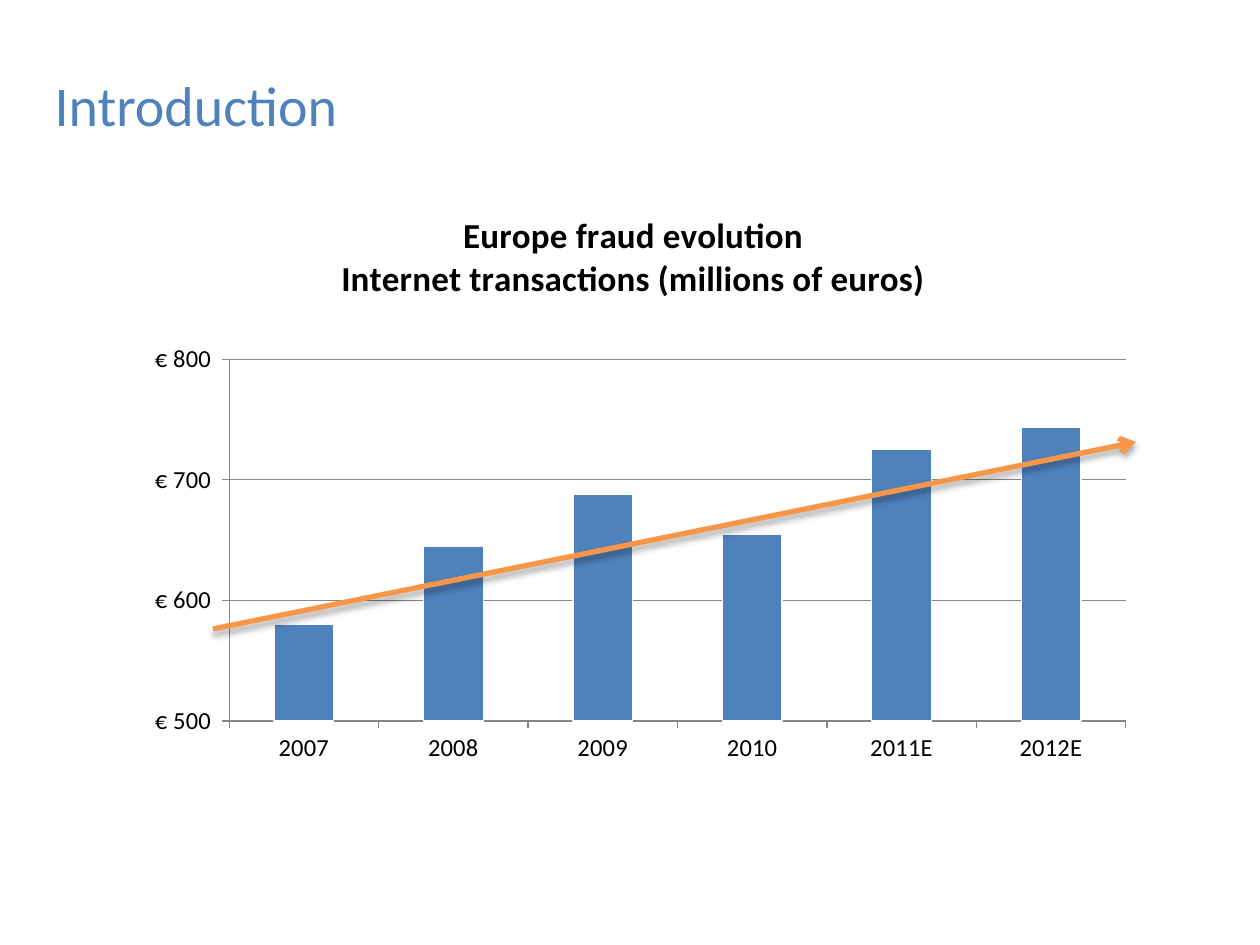
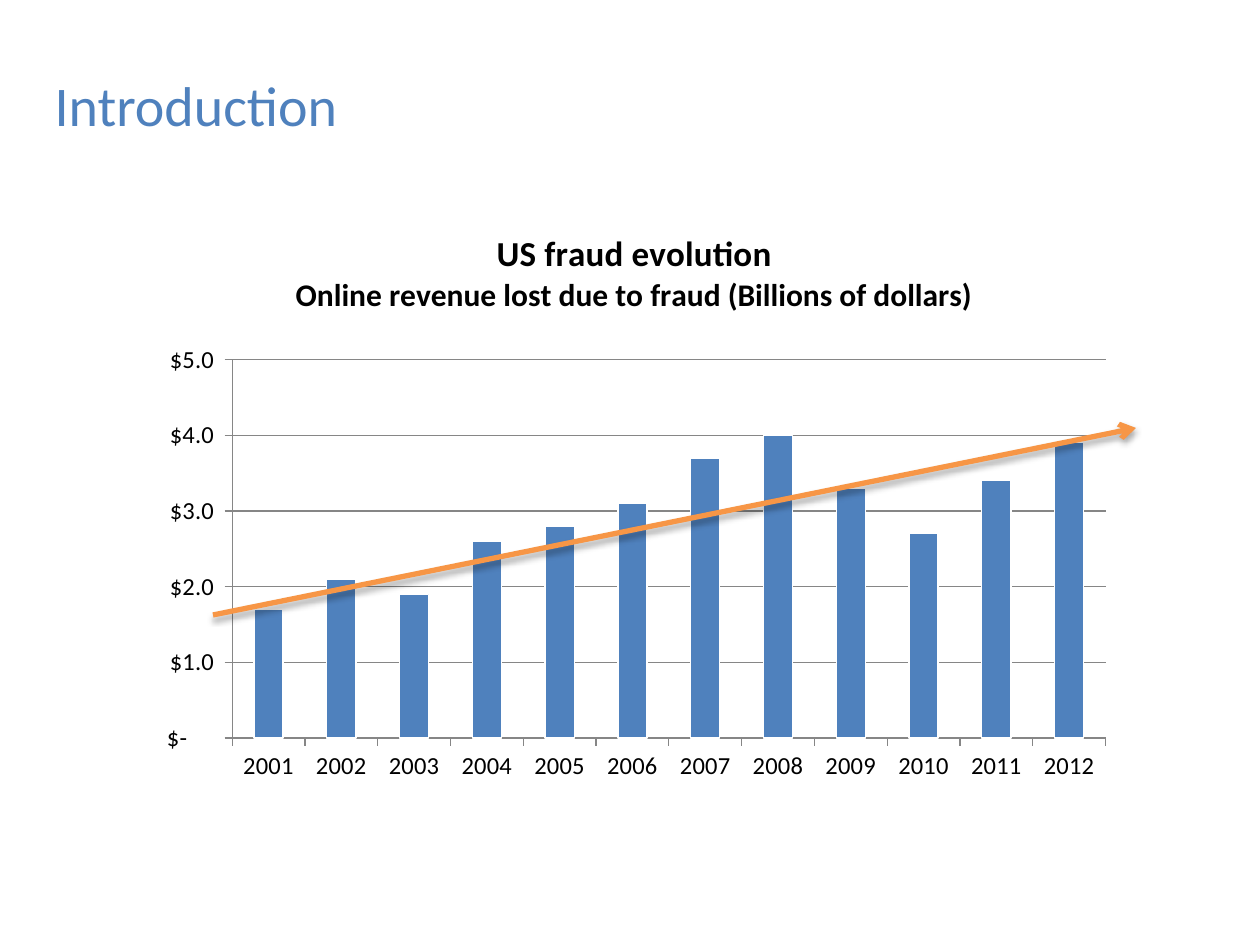
from dataclasses import dataclass

from lxml import etree
from pptx import Presentation
from pptx.chart.data import CategoryChartData
from pptx.dml.color import RGBColor
from pptx.enum.chart import XL_CHART_TYPE, XL_TICK_MARK
from pptx.enum.shapes import MSO_CONNECTOR
from pptx.enum.text import MSO_ANCHOR, PP_ALIGN
from pptx.oxml import parse_xml
from pptx.oxml.ns import nsdecls, qn
from pptx.util import Pt

COLUMNS = XL_CHART_TYPE.COLUMN_CLUSTERED
STRAIGHT = MSO_CONNECTOR.STRAIGHT
TICK_OUT, TICK_NONE = XL_TICK_MARK.OUTSIDE, XL_TICK_MARK.NONE
LEFT, CENTER, MIDDLE = PP_ALIGN.LEFT, PP_ALIGN.CENTER, MSO_ANCHOR.MIDDLE
TITLE_ONLY = 5
SCALE = 914400 / 126


@dataclass(frozen=True)
class Theme:
    font: str = "Calibri"
    blue: str = "4F81BD"
    orange: str = "F79646"
    black: str = "000000"
    white: str = "FFFFFF"
    grid: str = "868686"
    title_size: int = 32
    heading_size: int = 20
    axis_size: int = 14
    hairline: float = 0.75
    arrow_width: int = 3


THEME = Theme()


def px(*lengths):
    """Pixels to EMU."""
    return [round(length * SCALE) for length in lengths]


def rgb(color):
    return RGBColor.from_string(color)


def write(para, text, size, color, bold=False, align=LEFT):
    """Put one formatted span in a paragraph."""
    para.alignment = align
    span = para.add_run()
    span.text = text
    font = span.font
    font.name, font.size, font.bold = THEME.font, Pt(size), bold
    font.color.rgb = rgb(color)


def add_page(deck, title):
    page = deck.slides.add_slide(deck.slide_layouts[TITLE_ONLY])
    box = page.shapes.title
    box.left, box.top, box.width, box.height = px(42, 64, 311, 81)
    frame = box.text_frame
    frame.word_wrap, frame.vertical_anchor = False, MIDDLE
    write(frame.paragraphs[0], title, THEME.title_size, THEME.blue)
    return page


def set_layout(element, position, **fractions):
    """Give a chart part a manual layout in fractions of the chart."""
    for old in element.findall(qn("c:layout")):
        element.remove(old)
    layout = etree.Element(qn("c:layout"))
    manual = etree.SubElement(layout, qn("c:manualLayout"))
    settings = {"xMode": "edge", "yMode": "edge", **fractions}
    if "w" in fractions:
        settings = {"layoutTarget": "inner", **settings}
    for name, value in settings.items():
        etree.SubElement(manual, qn(f"c:{name}")).set("val", str(value))
    element.insert(position, layout)


def set_line(line, color, width=THEME.hairline):
    line.color.rgb = rgb(color)
    line.width = Pt(width)


def format_axis(axis):
    axis.major_tick_mark, axis.minor_tick_mark = TICK_OUT, TICK_NONE
    axis.tick_labels.font.size = Pt(THEME.axis_size)
    set_line(axis.format.line, THEME.grid)


def add_column_chart(page, place, values, heading, heading_at, plot, scale,
                     number_format):
    data = CategoryChartData()
    data.categories = list(values)
    data.add_series("Series 1", list(values.values()))
    chart = page.shapes.add_chart(COLUMNS, *px(*place), data).chart
    chart.has_legend = False
    chart.font.name, chart.font.size = THEME.font, Pt(THEME.axis_size)
    chart.font.color.rgb = rgb(THEME.black)

    # Heading, one paragraph a line
    chart.has_title = True
    frame = chart.chart_title.text_frame
    for index, (text, size) in enumerate(heading):
        para = frame.add_paragraph() if index else frame.paragraphs[0]
        write(para, text, size, THEME.black, bold=True, align=CENTER)
    x, y = heading_at
    set_layout(chart.chart_title._element, 1, x=x, y=y)

    # Axes and grid
    format_axis(chart.category_axis)
    axis = chart.value_axis
    format_axis(axis)
    axis.minimum_scale, axis.maximum_scale, axis.major_unit = scale
    axis.has_major_gridlines = True
    set_line(axis.major_gridlines.format.line, THEME.grid)
    axis.tick_labels.number_format = number_format
    axis.tick_labels.number_format_is_linked = False

    # Columns
    columns = chart.plots[0]
    columns.gap_width, columns.vary_by_categories = 150, False
    style = columns.series[0].format
    style.fill.solid()
    style.fill.fore_color.rgb = rgb(THEME.blue)
    set_line(style.line, THEME.white)
    area = chart._chartSpace.find(".//" + qn("c:plotArea"))
    set_layout(area, 0, **dict(zip("xywh", plot)))


def add_trend_arrow(page, start_y, end_y):
    arrow = page.shapes.add_connector(STRAIGHT, *px(213, start_y, 1136, end_y))
    set_line(arrow.line, THEME.orange, THEME.arrow_width)
    properties = arrow._element.spPr
    etree.SubElement(properties.find(qn("a:ln")), qn("a:tailEnd")).set("type", "arrow")
    properties.append(parse_xml(
        f'<a:effectLst {nsdecls("a")}>'
        '<a:outerShdw blurRad="40000" dist="23000" dir="5400000" rotWithShape="0">'
        f'<a:srgbClr val="{THEME.black}"><a:alpha val="35000"/></a:srgbClr>'
        '</a:outerShdw></a:effectLst>'))


def accounting(symbol, digits):
    """Accounting number format with a dash for zero."""
    return (f'_({symbol}* {digits}_);_({symbol}* \\({digits}\\);'
            f'_({symbol}* "-"??_);_(@_)')


def main():
    deck = Presentation()
    deck.slide_width, deck.slide_height = px(1260, 945)

    # Europe
    page = add_page(deck, "Introduction")
    add_column_chart(
        page, (125, 183, 1012, 625),
        {"2007": 580, "2008": 645, "2009": 688,
         "2010": 655, "2011E": 725, "2012E": 743},
        heading=[("Europe fraud evolution", THEME.heading_size),
                 ("Internet transactions (millions of euros)", THEME.heading_size)],
        heading_at=(0.21, 0.04), plot=(0.103, 0.282, 0.886, 0.579),
        scale=(500, 800, 100), number_format=accounting("[$€-2]\\ ", "#,##0"))
    add_trend_arrow(page, 629, 442)

    # United States
    page = add_page(deck, "Introduction")
    losses = [1.7, 2.1, 1.9, 2.6, 2.8, 3.1, 3.7, 4, 3.3, 2.7, 3.4, 3.9]
    add_column_chart(
        page, (125, 202, 1011, 606),
        {str(year): loss for year, loss in enumerate(losses, 2001)},
        heading=[("US fraud evolution", THEME.heading_size),
                 ("Online revenue lost due to fraud (Billions of dollars)", 18)],
        heading_at=(0.165, 0.04), plot=(0.106, 0.26, 0.864, 0.625),
        scale=(0, 5, 1), number_format=accounting('"$"', "#,##0.0"))
    add_trend_arrow(page, 615, 428)

    deck.save("out.pptx")


main()
